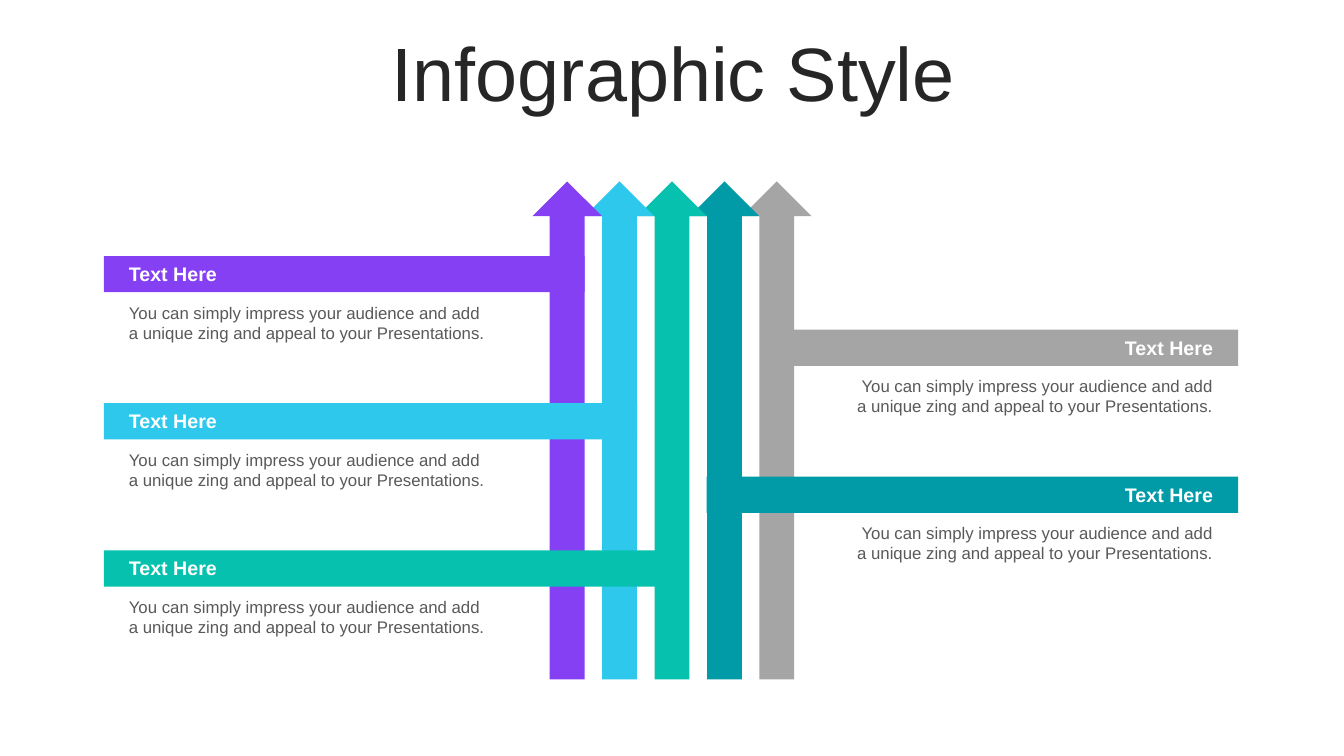
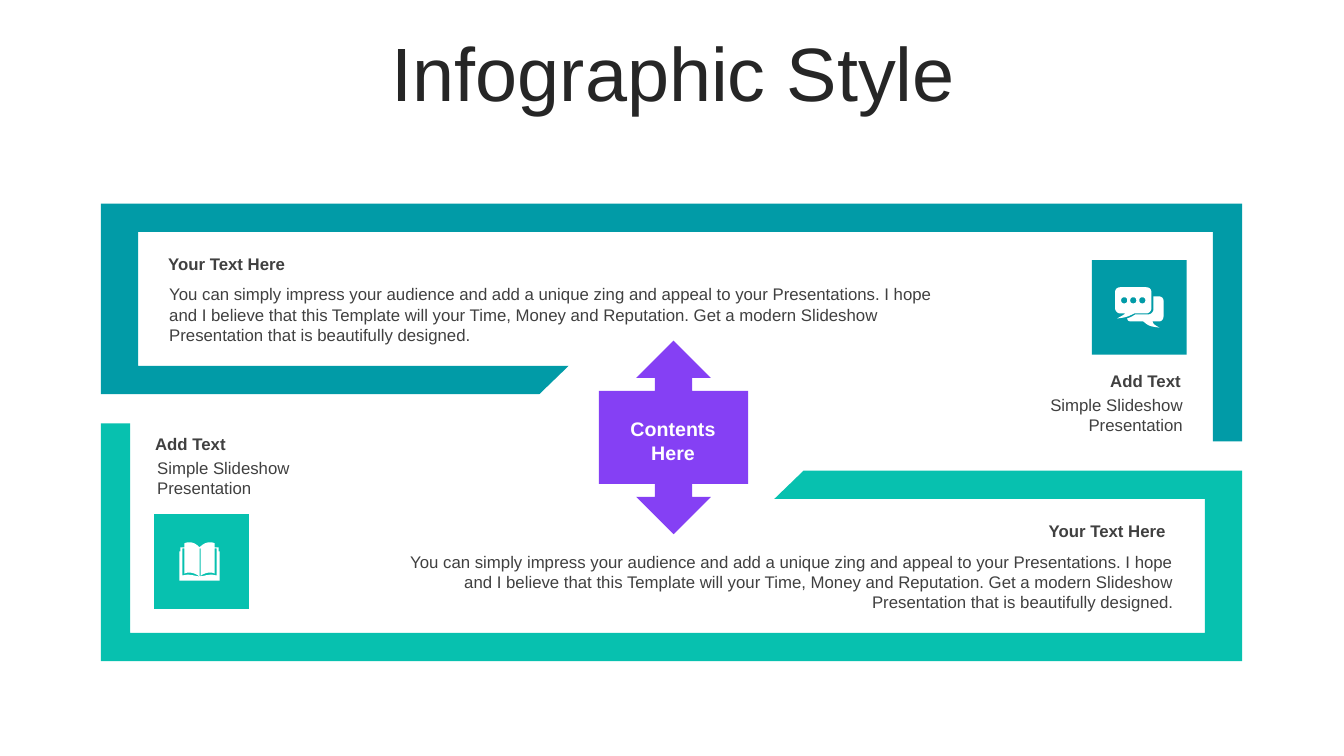
from typing import NamedTuple

from pptx import Presentation
from pptx import util as u
from pptx.dml.color import RGBColor
from pptx.enum import shapes, text

PURPLE = RGBColor(0x85, 0x40, 0xF4)
BLUE = RGBColor(0x2E, 0xC8, 0xED)
MINT = RGBColor(0x07, 0xC1, 0xAF)
TEAL = RGBColor(0x01, 0x9B, 0xA7)
GRAY = RGBColor(0xA5, 0xA5, 0xA5)
WHITE = RGBColor(0xFF, 0xFF, 0xFF)
INK = RGBColor(0x26, 0x26, 0x26)
DARK = RGBColor(0x40, 0x40, 0x40)
SOFT = RGBColor(0x59, 0x59, 0x59)

FONT = "Arial"
LEFT, MID, RIGHT = text.PP_ALIGN.LEFT, text.PP_ALIGN.CENTER, text.PP_ALIGN.RIGHT
KIND = shapes.MSO_SHAPE

SHORT = "You can simply impress your audience and add a unique zing and appeal to your Presentations."
LONG = (SHORT + " I hope and I believe that this Template will your Time, Money and Reputation. "
        "Get a modern Slideshow Presentation that is beautifully designed.")
BRIEF = "Simple Slideshow Presentation"


class Box(NamedTuple):
    x: float
    y: float
    w: float
    h: float


class Style(NamedTuple):
    size: int
    color: RGBColor
    bold: bool = False


class Bar(NamedTuple):
    color: RGBColor
    start: float
    end: float
    align: text.PP_ALIGN


class Note(NamedTuple):
    box: Box
    words: str
    style: Style
    align: text.PP_ALIGN


TITLE = Style(54, INK)
HEAD = Style(14, WHITE, True)
BODY = Style(12, SOFT)
LABEL = Style(12, DARK, True)
PLAIN = Style(12, DARK)

BARS = [
    Bar(PURPLE, 1.03, 5.8, LEFT),
    Bar(GRAY, 7.57, 12.28, RIGHT),
    Bar(BLUE, 1.03, 6.32, LEFT),
    Bar(TEAL, 7.01, 12.28, RIGHT),
    Bar(MINT, 1.03, 6.66, LEFT),
]

NOTES = [
    Note(Box(1.58, 2.77, 8, 0.71), LONG, PLAIN, LEFT),
    Note(Box(1.57, 2.47, 7.94, 0.3), "Your Text Here", LABEL, LEFT),
    Note(Box(3.81, 5.42, 7.93, 0.71), LONG, PLAIN, RIGHT),
    Note(Box(3.79, 5.12, 7.87, 0.3), "Your Text Here", LABEL, RIGHT),
    Note(Box(9.93, 3.63, 1.88, 0.3), "Add Text", LABEL, RIGHT),
    Note(Box(9.95, 3.87, 1.88, 0.5), BRIEF, PLAIN, RIGHT),
    Note(Box(1.44, 4.25, 1.88, 0.3), "Add Text", LABEL, LEFT),
    Note(Box(1.46, 4.49, 1.88, 0.5), BRIEF, PLAIN, LEFT),
]

FRAME = [(12.32, 4.38), (12.03, 4.38), (12.03, 2.3), (1.37, 2.3), (1.37, 3.63),
         (5.64, 3.63), (5.35, 3.91), (1, 3.91), (1, 2.02), (12.32, 2.02)]

COVER = [(1.98, 5.43), (1.95, 5.4, 1.92, 5.38, 1.88, 5.38), (1.87, 5.38, 1.85, 5.38, 1.83, 5.39),
         (1.83, 5.43), (1.79, 5.43), (1.79, 5.47), (1.78, 5.47), (1.78, 5.76)]
PAGE = [(1.83, 5.44), (1.81, 5.44), (1.81, 5.71), (1.88, 5.69, 1.91, 5.71, 1.98, 5.72),
        (1.93, 5.68, 1.87, 5.67, 1.83, 5.69)]
SPINE = [(1.98, 5.44), (1.99, 5.44), (1.99, 5.72), (1.98, 5.72)]

FRONT = [(11.11, 2.85), (11.37, 2.85), (11.4, 2.85, 11.42, 2.87, 11.42, 2.9), (11.42, 3.06),
         (11.42, 3.08, 11.4, 3.11, 11.37, 3.11), (11.25, 3.11),
         (11.19, 3.14, 11.17, 3.15, 11.08, 3.16), (11.13, 3.13, 11.14, 3.13, 11.16, 3.11),
         (11.11, 3.11), (11.08, 3.11, 11.06, 3.08, 11.06, 3.06), (11.06, 2.9),
         (11.06, 2.87, 11.08, 2.85, 11.11, 2.85)]
BACK = [(11.44, 2.94), (11.49, 2.94), (11.52, 2.94, 11.54, 2.96, 11.54, 2.98), (11.54, 3.14),
        (11.54, 3.17, 11.52, 3.19, 11.49, 3.19), (11.43, 3.19),
        (11.44, 3.21, 11.44, 3.22, 11.5, 3.25), (11.4, 3.24, 11.39, 3.23, 11.34, 3.19),
        (11.22, 3.19), (11.2, 3.19, 11.18, 3.18, 11.18, 3.16),
        (11.21, 3.15, 11.23, 3.14, 11.26, 3.12), (11.39, 3.12),
        (11.41, 3.12, 11.44, 3.1, 11.44, 3.07)]


def dot(x: float, y: float) -> list:
    return [(x, y - 0.03), (x - 0.02, y - 0.03, x - 0.03, y - 0.02, x - 0.03, y),
            (x - 0.03, y + 0.02, x - 0.02, y + 0.03, x, y + 0.03),
            (x + 0.02, y + 0.03, x + 0.03, y + 0.02, x + 0.03, y),
            (x + 0.03, y - 0.02, x + 0.02, y - 0.03, x, y - 0.03)]


def trace(steps: list, count: int = 8) -> list:
    points = []
    for step in steps:
        if len(step) == 2:
            points.append(step)
            continue
        knots = [points[-1], step[:2], step[2:4], step[4:]]
        for i in range(1, count + 1):
            t = i / count
            rates = ((1 - t) ** 3, 3 * t * (1 - t) ** 2, 3 * t * t * (1 - t), t ** 3)
            points.append(tuple(sum(r * k[axis] for r, k in zip(rates, knots)) for axis in (0, 1)))
    return points


def flip(points: list, width: float) -> list:
    return [(width - x, y) for x, y in points]


def paint(shape, color: RGBColor) -> None:
    shape.shadow.inherit = False
    shape.fill.solid()
    shape.fill.fore_color.rgb = color
    shape.line.fill.background()


def block(slide, kind: shapes.MSO_SHAPE, box: Box, color: RGBColor):
    shape = slide.shapes.add_shape(kind, *map(u.Inches, box))
    paint(shape, color)
    return shape


def outline(slide, loops: list, color: RGBColor) -> None:
    pen = None
    for loop in loops:
        first, *rest = [(u.Inches(x), u.Inches(y)) for x, y in loop]
        if pen is None:
            pen = slide.shapes.build_freeform(*first, scale=1.0)
        else:
            pen.move_to(*first)
        pen.add_line_segments(rest, close=True)
    paint(pen.convert_to_shape(), color)


def write(slide, box: Box, words: str, style: Style, align: text.PP_ALIGN):
    frame = slide.shapes.add_textbox(*map(u.Inches, box)).text_frame
    frame.word_wrap = True
    frame.text = words
    for para in frame.paragraphs:
        para.alignment = align
        font = para.font
        font.name, font.size, font.bold = FONT, u.Pt(style.size), style.bold
        font.color.rgb = style.color
    return frame


def start(deck):
    slide = deck.slides.add_slide(deck.slide_layouts[6])
    frame = write(slide, Box(0.35, 0.37, 12.66, 0.79), "Infographic Style", TITLE, MID)
    frame.vertical_anchor = text.MSO_ANCHOR.MIDDLE
    frame.paragraphs[0].line_spacing = 0.9
    return slide


def arrows(deck) -> None:
    slide = start(deck)
    for i, color in enumerate([GRAY, TEAL, MINT, BLUE, PURPLE]):
        block(slide, KIND.UP_ARROW, Box(7.36 - 0.52 * i, 1.8, 0.69, 4.94), color)
    for i, bar in enumerate(BARS):
        top = 2.54 + 0.73 * i
        edge = 1.18 if bar.align == LEFT else 8.4
        block(slide, KIND.RECTANGLE, Box(bar.start, top, bar.end - bar.start, 0.36), bar.color)
        write(slide, Box(edge, top + 0.01, 3.73, 0.34), "Text Here", HEAD, bar.align)
        write(slide, Box(edge, top + 0.41, 3.73, 0.5), SHORT, BODY, bar.align)


def frames(deck) -> None:
    slide = start(deck)
    outline(slide, [[(13.32 - x, 8.58 - y) for x, y in FRAME]], MINT)
    outline(slide, [FRAME], TEAL)
    block(slide, KIND.RECTANGLE, Box(1.53, 5.1, 0.94, 0.94), MINT)
    block(slide, KIND.RECTANGLE, Box(10.83, 2.58, 0.94, 0.94), TEAL)
    block(slide, KIND.LEFT_RIGHT_ARROW_CALLOUT, Box(5.72, 3.6, 1.92, 1.48), PURPLE).rotation = 90
    write(slide, Box(6.12, 4.09, 1.11, 0.57), "Contents\nHere", HEAD, MID)
    for note in NOTES:
        write(slide, *note)
    cover, page = trace(COVER), trace(PAGE)
    outline(slide, [cover + flip(cover, 3.96)[::-1], page, flip(page, 3.96), SPINE], WHITE)
    dots = [dot(11.15 + 0.09 * i, 2.98) for i in range(3)]
    outline(slide, [trace(loop) for loop in (FRONT, BACK, *dots)], WHITE)


def main() -> None:
    deck = Presentation()
    deck.slide_width, deck.slide_height = u.Inches(13.33), u.Inches(7.5)
    arrows(deck)
    frames(deck)
    deck.save("out.pptx")


if __name__ == "__main__":
    main()
